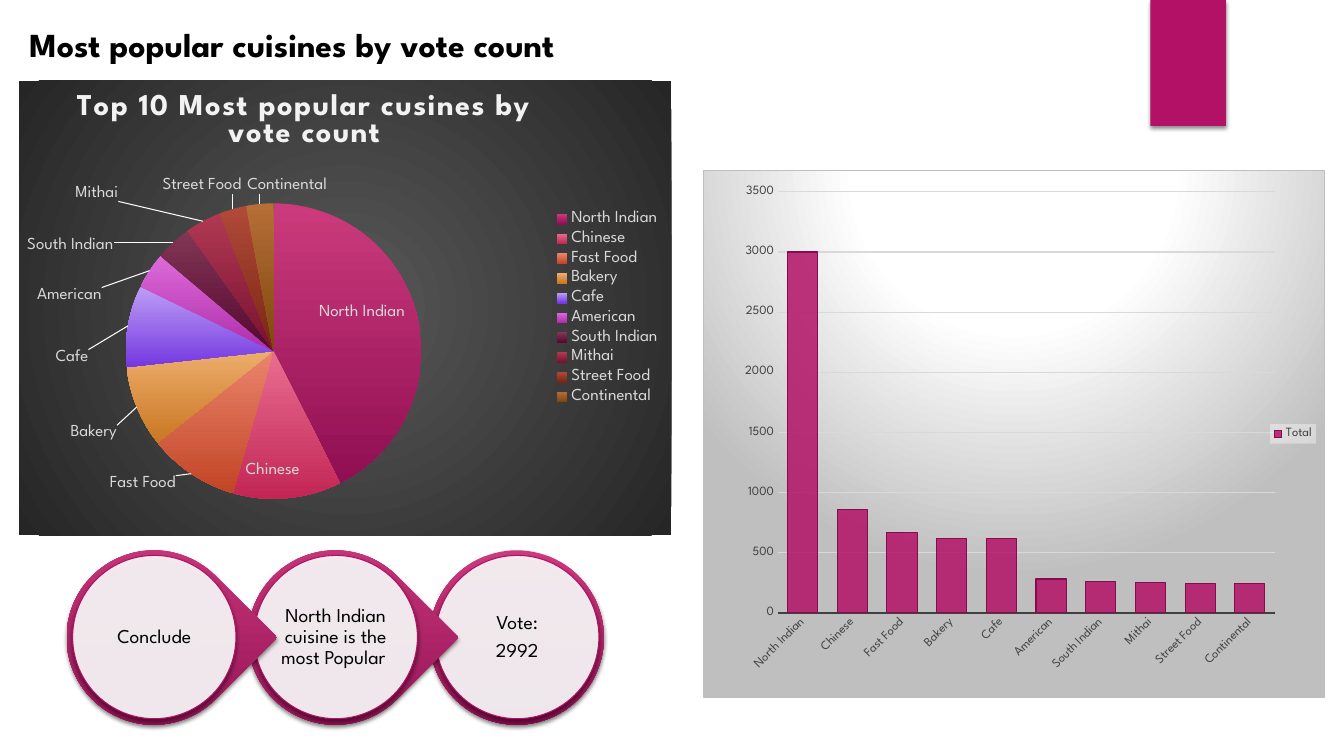
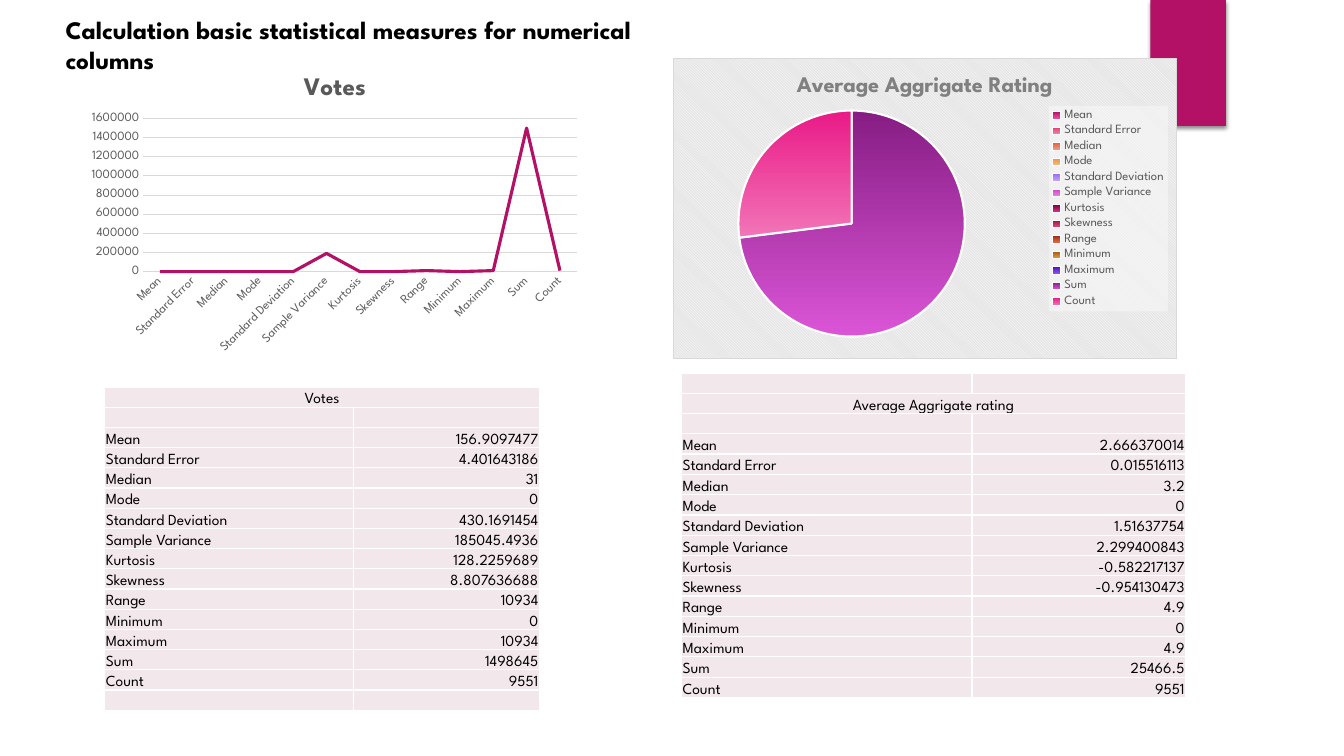
from pptx import Presentation
from pptx.chart.data import CategoryChartData
from pptx.dml.color import RGBColor
from pptx.enum.chart import XL_CHART_TYPE, XL_LABEL_POSITION, XL_LEGEND_POSITION, XL_TICK_MARK
from pptx.enum.shapes import MSO_SHAPE
from pptx.enum.text import MSO_ANCHOR, MSO_AUTO_SIZE, PP_ALIGN
from pptx.oxml import parse_xml
from pptx.oxml.ns import nsdecls, qn
from pptx.util import Inches, Pt

FONT, BRAND, INK, PALE = "League Spartan", "B31166", "000000", "F2E7EA"
RING = ("CB3B7C", "900E52")

FOODS = ["North Indian", "Chinese", "Fast Food", "Bakery", "Cafe", "American",
         "South Indian", "Mithai", "Street Food", "Continental"]
SHARE = [43, 12, 10, 9, 9, 4, 4, 4, 3, 3]
VOTES = [3000, 860, 670, 620, 620, 280, 260, 250, 240, 240]
FOOD_TINTS = [RING, ("E96E90", "C22655"), ("EA856D", "C24525"), ("EEAD6D", "C97721"),
              ("BD9EF6", "7438E0"), ("DD6AD9", "AE2EAA"), ("813654", "560831"),
              ("B03953", "791131"), ("B04939", "7A2711"), ("B66E37", "7E480E")]
SHIFTS = [(-0.01, -0.03), (0.02, -0.03), (-0.13, 0.05), (-0.11, 0.08), (-0.12, 0.05),
          (-0.18, 0.03), (-0.23, -0.02), (-0.2, -0.09), (-0.11, -0.08), (-0.02, -0.07)]

STATS = ["Mean", "Standard Error", "Median", "Mode", "Standard Deviation",
         "Sample Variance", "Kurtosis", "Skewness", "Range", "Minimum",
         "Maximum", "Sum", "Count"]
SPREAD = [0, 0, 0, 0, 0, 190000, 0, 0, 10000, 0, 10000, 1500000, 10000]
RATES = [0] * 11 + [73, 27]
RATE_TINTS = [("B31166", "EF53A5"), ("E33D6F", "EE8BA9"), ("E45F3C", "EF9F8A"),
              ("E9943A", "F2BF89"), ("9B6BF2", "C3A6F7"), ("D53DD0", "E68BE3"),
              ("6B0A3D", "EB288E"), ("97163D", "E54E7C"), ("983015", "E66D4D"),
              ("9D5912", "EB9D4A"), ("4F11C0", "8F59F0"), ("871D84", "DA55D6"),
              ("E91A87", "F275B7")]
VOTE_STATS = ["156.9097477", "4.401643186", "31", "0", "430.1691454", "185045.4936",
              "128.2259689", "8.807636688", "10934", "0", "10934", "1498645", "9551"]
RATE_STATS = ["2.666370014", "0.015516113", "3.2", "0", "1.51637754", "2.299400843",
              "-0.582217137", "-0.954130473", "4.9", "0", "4.9", "25466.5", "9551"]


def tint(code):
    """Turn a hex string into a colour."""
    return RGBColor.from_string(code)


def node(tag, body="", **marks):
    """Build an XML element in the drawing and chart namespaces."""
    pairs = " ".join(f'{name}="{mark}"' for name, mark in marks.items())
    return parse_xml(f"<{tag} {nsdecls('a', 'c')} {pairs}>{body}</{tag}>")


def solid(code, alpha=100):
    """Give the XML of a solid fill."""
    return (f'<a:solidFill><a:srgbClr val="{code}"><a:alpha val="{alpha * 1000}"/>'
            '</a:srgbClr></a:solidFill>')


def edge(code, width):
    """Give the XML of a line, with its width in points."""
    return f'<a:ln w="{Pt(width)}">{solid(code)}</a:ln>'


def glow(stops, left, top, right, base):
    """Give the XML of a round gradient."""
    marks = "".join(f'<a:gs pos="{at * 1000}"><a:srgbClr val="{code}"/></a:gs>'
                    for at, code in stops)
    return (f'<a:gradFill><a:gsLst>{marks}</a:gsLst><a:path path="circle"><a:fillToRect '
            f'l="{left * 1000}" t="{top * 1000}" r="{right * 1000}" b="{base * 1000}"/>'
            '</a:path></a:gradFill>')


def place(x, y, wide=None, high=None):
    """Build a manual layout; with a size it sets an inner plot area."""
    inner = wide is not None
    parts = '<c:layoutTarget val="inner"/>' if inner else ""
    parts += '<c:xMode val="edge"/><c:yMode val="edge"/>'
    parts += f'<c:x val="{x}"/><c:y val="{y}"/>'
    parts += f'<c:w val="{wide}"/><c:h val="{high}"/>' if inner else ""
    return node("c:layout", f"<c:manualLayout>{parts}</c:manualLayout>")


def blend(fill, tones):
    """Fill from the first tone at the top to the second below."""
    fill.gradient()
    fill.gradient_angle = 270
    for stop, tone in zip(fill.gradient_stops, tones):
        stop.color.rgb = tint(tone)


def fade(part, alpha):
    """Make the solid fill inside an element see-through."""
    spot = part.xpath("./*/a:solidFill/a:srgbClr")[0]
    spot.append(node("a:alpha", val=alpha * 1000))


class Deck:
    """Hold the style and the current slide."""

    def __init__(self):
        """Start an empty wide deck."""
        self.deck = Presentation()
        self.deck.slide_width, self.deck.slide_height = Inches(13.33), Inches(7.5)

    def style(self, font, size, code=INK, bold=False):
        """Set a font in the house face."""
        font.name, font.size, font.bold = FONT, Pt(size), bold
        font.color.rgb = tint(code)

    def page(self, text, box, size):
        """Add a slide with its title and band."""
        self.slide = self.deck.slides.add_slide(self.deck.slide_layouts[5])
        title = self.slide.shapes.title
        title.left, title.top, title.width, title.height = map(Inches, box)
        frame = title.text_frame
        frame.text, frame.word_wrap = text, True
        frame.auto_size, frame.vertical_anchor = MSO_AUTO_SIZE.NONE, MSO_ANCHOR.TOP
        line = frame.paragraphs[0]
        line.alignment = PP_ALIGN.LEFT
        self.style(line.font, size, bold=True)
        self.shape(MSO_SHAPE.RECTANGLE, 11.41, 0, 0.75, 1.25, BRAND)

    def shape(self, kind, x, y, wide, high, paint):
        """Add a shape with a soft shadow, in one colour or two."""
        shape = self.slide.shapes.add_shape(kind, *map(Inches, (x, y, wide, high)))
        if isinstance(paint, tuple):
            blend(shape.fill, paint)
        else:
            shape.fill.solid()
            shape.fill.fore_color.rgb = tint(paint)
        shape.line.fill.background()
        shape.shadow.inherit = False
        shade = '<a:srgbClr val="000000"><a:alpha val="45000"/></a:srgbClr>'
        shape.element.spPr.find(qn("a:effectLst")).append(
            node("a:outerShdw", shade, blurRad=Pt(3), dist=Pt(2), dir=5400000))
        return shape

    def step(self, x, lines, last):
        """Add one ringed disc of the chain; all but the last point on."""
        ring = self.shape(MSO_SHAPE.OVAL if last else MSO_SHAPE.TEAR, x, 5.46, 1.73, 1.73, RING)
        ring.rotation = 0 if last else 45
        ring.fill.gradient_angle = 270 + ring.rotation
        disc = self.shape(MSO_SHAPE.OVAL, x + 0.06, 5.51, 1.62, 1.62, "FFFFFF")
        fade(disc.element, 90)
        disc.line.color.rgb, disc.line.width = tint(BRAND), Pt(0.75)
        frame = disc.text_frame
        frame.text, frame.word_wrap = "\n".join(lines), True
        frame.vertical_anchor = MSO_ANCHOR.MIDDLE
        frame.margin_left = frame.margin_right = Inches(0.02)
        frame.margin_top = frame.margin_bottom = Inches(0.02)
        for line in frame.paragraphs:
            line.alignment, line.line_spacing, line.space_after = PP_ALIGN.CENTER, 0.9, Pt(5)
            self.style(line.font, 14)

    def chart(self, kind, box, names, label, vals, plot, back=None):
        """Add a one-series chart with its plot area and backdrop."""
        data = CategoryChartData()
        data.categories = names
        data.add_series(label, vals)
        chart = self.slide.shapes.add_chart(kind, *map(Inches, box), data).chart
        self.style(chart.font, 10)
        chart.has_title = chart.has_legend = False
        chart.plots[0].vary_by_categories = kind == XL_CHART_TYPE.PIE
        area = chart.element.xpath("c:chart/c:plotArea")[0]
        for old in area.xpath("c:layout"):
            area.remove(old)
        area.insert(0, place(*plot))
        if back:
            chart.element.xpath("c:chart")[0].addnext(node("c:spPr", back))
        return chart

    def head(self, chart, text, size, code, gap=0, spot=None):
        """Give a chart its title, with letter gaps in points."""
        chart.has_title = True
        frame = chart.chart_title.text_frame
        frame.text = text
        line = frame.paragraphs[0]
        self.style(line.font, size, code, True)
        if gap:
            line._p.xpath("a:pPr/a:defRPr")[0].set("spc", str(int(gap * 100)))
        if spot:
            title = chart.chart_title._element
            for old in title.xpath("c:layout"):
                title.remove(old)
            title.xpath("c:tx")[0].addnext(place(*spot))

    def legend(self, chart, size, code, veil=True):
        """Put the legend on the right, on a pale veil if asked."""
        chart.has_legend = True
        key = chart.legend
        key.position, key.include_in_layout = XL_LEGEND_POSITION.RIGHT, False
        self.style(key.font, size, code)
        if veil:
            key._element.xpath("c:txPr")[0].addprevious(node("c:spPr", solid("FFFFFF", 39)))

    def axes(self, chart, top, unit, code, base, width):
        """Style both axes: slanted names and a light grid."""
        names, scale = chart.category_axis, chart.value_axis
        for axis in (names, scale):
            axis.major_tick_mark = axis.minor_tick_mark = XL_TICK_MARK.NONE
            self.style(axis.tick_labels.font, 9, code)
        names._element.xpath("c:txPr/a:bodyPr")[0].set("rot", "-2700000")
        names.format.line.color.rgb, names.format.line.width = tint(base), Pt(width)
        scale.minimum_scale, scale.maximum_scale, scale.major_unit = 0, top, unit
        scale.format.line.fill.background()
        grid = scale.major_gridlines.format.line
        grid.color.rgb, grid.width = tint("D9D9D9"), Pt(0.75)

    def slices(self, chart, tones, rim=None):
        """Paint each slice of a pie, with a white rim if asked."""
        for i, pair in enumerate(tones):
            look = chart.plots[0].series[0].points[i].format
            blend(look.fill, pair)
            if rim:
                look.line.color.rgb, look.line.width = tint("FFFFFF"), Pt(rim)
            else:
                look.line.fill.background()

    def labels(self, chart, shifts, code):
        """Name each slice, moved from its inner edge by a share of the chart."""
        row = chart.plots[0].series[0]
        group = row.data_labels
        group.show_category_name, group.show_value = True, False
        for i in range(len(shifts)):
            label = row.points[i].data_label
            self.style(label.font, 12, code)
            label.position = XL_LABEL_POSITION.INSIDE_END
        group.position = XL_LABEL_POSITION.INSIDE_END
        self.style(group.font, 12, code)
        for item, (x, y) in zip(group._element.xpath("c:dLbl"), shifts):
            item.xpath("c:showVal")[0].set("val", "0")
            item.xpath("c:showCatName")[0].set("val", "1")
            move = f'<c:manualLayout><c:x val="{x}"/><c:y val="{y}"/></c:manualLayout>'
            item.xpath("c:idx")[0].addnext(node("c:layout", move))
        for lead in group._element.xpath("c:showLeaderLines"):
            lead.addnext(node("c:leaderLines", f"<c:spPr>{edge('FFFFFF', 0.75)}</c:spPr>"))

    def table(self, box, cols, rows):
        """Add a table; a row of one text spans both columns."""
        grid = self.slide.shapes.add_table(len(rows), 2, *map(Inches, box)).table
        grid.first_row = grid.horz_banding = False
        for col, wide in zip(grid.columns, cols):
            col.width = Inches(wide)
        for r, texts in enumerate(rows):
            grid.rows[r].height = Inches(box[3] / len(rows))
            for c in range(2):
                self.cell(grid.cell(r, c), texts[c] if c < len(texts) else "",
                          PP_ALIGN.RIGHT if c else PP_ALIGN.LEFT)
            if len(texts) == 1:
                grid.cell(r, 0).merge(grid.cell(r, 1))
                grid.cell(r, 0).text_frame.paragraphs[0].alignment = PP_ALIGN.CENTER

    def cell(self, cell, text, align):
        """Fill one table cell."""
        cell.text, cell.vertical_anchor = text, MSO_ANCHOR.BOTTOM
        cell.margin_left = cell.margin_right = cell.margin_top = Inches(0.01)
        cell.margin_bottom = 0
        for side in ("a:lnL", "a:lnR", "a:lnT", "a:lnB"):
            cell._tc.get_or_add_tcPr().append(node(side, solid("FFFFFF"), w=Pt(1)))
        cell.fill.solid()
        cell.fill.fore_color.rgb = tint(PALE)
        line = cell.text_frame.paragraphs[0]
        line.alignment = align
        self.style(line.font, 11)
        if not text:
            line._p.append(node("a:endParaRPr", sz=1100))


def foods(deck):
    """Build the slide on cuisines."""
    deck.page("Most popular cuisines by vote count", (0.19, 0.19, 6.67, 0.5), 24)
    pie = deck.chart(XL_CHART_TYPE.PIE, (0.19, 0.8, 6.47, 4.51), FOODS, "Series 1", SHARE,
                     (0.16, 0.27, 0.46, 0.65),
                     glow([(0, "595959"), (100, "262626")], 50, 50, 50, 50))
    deck.head(pie, "Top 10 Most popular cusines by vote count", 21.6, "F2F2F2", 1, (0.08, 0.01))
    deck.legend(pie, 12, "D9D9D9", False)
    deck.slices(pie, FOOD_TINTS)
    deck.labels(pie, SHIFTS, "D9D9D9")
    back = glow([(0, "FFFFFF"), (39, "FFFFFF"), (100, "BFBFBF")], 50, -80, 50, 180)
    bars = deck.chart(XL_CHART_TYPE.COLUMN_CLUSTERED, (6.97, 1.69, 6.17, 5.23), FOODS, "Total",
                      VOTES, (0.12, 0.04, 0.8, 0.8), back + edge("BFBFBF", 0.75))
    deck.legend(bars, 9, "404040")
    deck.axes(bars, 3500, 500, "404040", "404040", 1.5)
    bars.plots[0].gap_width = 65
    row = bars.plots[0].series[0]
    row.format.fill.solid()
    row.format.fill.fore_color.rgb = tint(BRAND)
    fade(row._element, 85)
    row.format.line.color.rgb, row.format.line.width = tint("860D4C"), Pt(0.75)
    chain = [["Conclude"], ["North Indian cuisine is the most Popular "], ["Vote:", "2992"]]
    for i in reversed(range(len(chain))):
        deck.step(0.66 + 1.8 * i, chain[i], i == len(chain) - 1)


def stats(deck):
    """Build the slide on basic measures."""
    deck.page("Calculation basic statistical measures for numerical columns",
              (0.55, 0.09, 6.67, 0.71), 18)
    back = ('<a:pattFill prst="dkDnDiag"><a:fgClr><a:srgbClr val="FFFFFF"/></a:fgClr>'
            '<a:bgClr><a:srgbClr val="E6E6E6"/></a:bgClr></a:pattFill>')
    pie = deck.chart(XL_CHART_TYPE.PIE, (6.67, 0.58, 5, 2.98), STATS, "Series 1", RATES,
                     (0.13, 0.17, 0.45, 0.76), back + edge("D9D9D9", 0.75))
    deck.head(pie, "Average Aggrigate Rating", 16, "808080")
    deck.legend(pie, 9, "595959")
    deck.slices(pie, RATE_TINTS, 1.5)
    curve = deck.chart(XL_CHART_TYPE.LINE, (0.82, 0.58, 5, 2.98), STATS, "Series 1", SPREAD,
                       (0.12, 0.2, 0.86, 0.51))
    deck.head(curve, "Votes", 18, "595959")
    deck.axes(curve, 1600000, 200000, "595959", "D9D9D9", 0.75)
    row = curve.plots[0].series[0]
    row.smooth = False
    row.format.line.color.rgb, row.format.line.width = tint(BRAND), Pt(2.25)
    blank = ("", "")
    deck.table((1.04, 3.84, 4.31, 3.21), (2.47, 1.84),
               [("Votes",), blank, *zip(STATS, VOTE_STATS), blank])
    deck.table((6.76, 3.7, 5, 3.22), (2.88, 2.12),
               [blank, ("Average Aggrigate rating",), blank, *zip(STATS, RATE_STATS)])


def main():
    """Build and save the deck."""
    deck = Deck()
    foods(deck)
    stats(deck)
    deck.deck.save("out.pptx")


if __name__ == "__main__":
    main()
